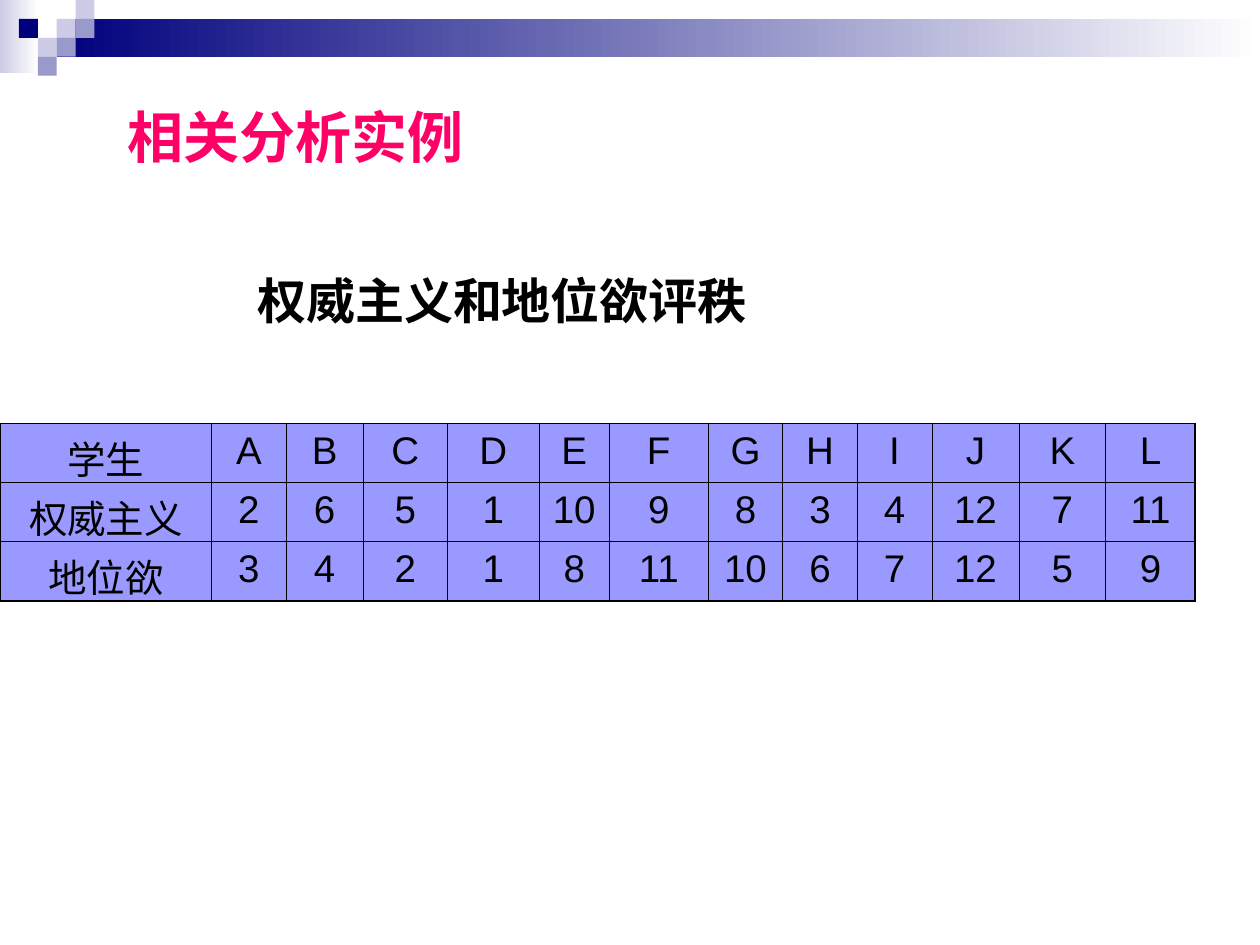
from lxml import etree
from pptx import Presentation
from pptx.dml.color import RGBColor
from pptx.enum.shapes import MSO_SHAPE as Shape
from pptx.enum.text import MSO_ANCHOR as Anchor, MSO_AUTO_SIZE as AutoSize, PP_ALIGN as Align
from pptx.oxml.ns import qn
from pptx.util import Pt

NAVY = RGBColor(0x00, 0x00, 0x7D)
LAVENDER = RGBColor(0xCC, 0xCC, 0xE6)
MAUVE = RGBColor(0x99, 0x99, 0xCC)
CELL_BLUE = RGBColor(0x99, 0x99, 0xFF)
PINK = RGBColor(0xFF, 0x00, 0x66)
BLACK = RGBColor(0x00, 0x00, 0x00)
WHITE = RGBColor(0xFF, 0xFF, 0xFF)

SQUARE = 10.8
SQUARES = [  # column, row, colour on the corner grid
    (3, 1, LAVENDER), (4, 0, LAVENDER), (4, 1, MAUVE), (2, 2, LAVENDER),
    (1, 1, NAVY), (3, 2, MAUVE), (2, 3, MAUVE),
]
RANKS = [
    ["学生", *"ABCDEFGHIJKL"],
    ["权威主义", 2, 6, 5, 1, 10, 9, 8, 3, 4, 12, 7, 11],
    ["地位欲", 3, 4, 2, 1, 8, 11, 10, 6, 7, 12, 5, 9],
]
COL_WIDTHS = [121, 42.5, 44, 48.2, 52.5, 40, 56.5, 42.7, 42.5, 42.7, 49.7, 49.7, 51]
ROW_HEIGHT = 33.8


class SlideBuilder:
    heading_font = "Times New Roman"
    table_font = "Arial"
    table_size = 22
    thin, thick = 0.45, 1.08

    def __init__(self, slide):
        self.slide = slide

    def rect(self, x, y, w, h, color, fade=False):
        sp = self.slide.shapes.add_shape(Shape.RECTANGLE, Pt(x), Pt(y), Pt(w), Pt(h))
        sp.shadow.inherit = False
        sp.line.fill.background()
        if fade:
            sp.fill.gradient()
            sp.fill.gradient_angle = 0
            for stop, rgb in zip(sp.fill.gradient_stops, (color, WHITE)):
                stop.color.rgb = rgb
        else:
            sp.fill.solid()
            sp.fill.fore_color.rgb = color

    def write_heading(self, sp, text, size, color):
        tf = sp.text_frame
        tf.text = text
        tf.word_wrap = False
        tf.auto_size = AutoSize.SHAPE_TO_FIT_TEXT
        tf.vertical_anchor = Anchor.TOP
        p = tf.paragraphs[0]
        p.alignment = Align.LEFT
        self.set_font(p.font, self.heading_font, size, color, True)

    def title(self, x, y, w, h, text, size, color):
        sp = self.slide.shapes.title
        sp.left, sp.top, sp.width, sp.height = Pt(x), Pt(y), Pt(w), Pt(h)
        self.write_heading(sp, text, size, color)

    def text(self, x, y, w, h, text, size, color):
        sp = self.slide.shapes.add_textbox(Pt(x), Pt(y), Pt(w), Pt(h))
        self.write_heading(sp, text, size, color)

    def table(self, x, y, rows, widths, row_height):
        n_rows, n_cols = len(rows), len(widths)
        table = self.slide.shapes.add_table(
            n_rows, n_cols, Pt(x), Pt(y), Pt(sum(widths)), Pt(row_height * n_rows)).table
        table.horz_banding = table.first_row = False
        for column, width in zip(table.columns, widths):
            column.width = Pt(width)
        for i, values in enumerate(rows):
            table.rows[i].height = Pt(row_height)
            for j, value in enumerate(values):
                cell = table.cell(i, j)
                outer = {"L": j == 0, "R": j == n_cols - 1, "T": i == 0, "B": i == n_rows - 1}
                self.borders(cell, outer)
                cell.fill.solid()
                cell.fill.fore_color.rgb = CELL_BLUE
                cell.text = str(value)
                p = cell.text_frame.paragraphs[0]
                p.alignment = Align.CENTER
                p.space_before = Pt(5.5)
                self.set_font(p.font, self.table_font, self.table_size, BLACK)

    def borders(self, cell, outer):
        props = cell._tc.get_or_add_tcPr()
        for side, is_outer in outer.items():
            width = Pt(self.thick if is_outer else self.thin)
            ln = etree.SubElement(props, qn(f"a:ln{side}"), w=str(width))
            fill = etree.SubElement(ln, qn("a:solidFill"))
            etree.SubElement(fill, qn("a:srgbClr"), val=str(BLACK))

    def set_font(self, font, name, size, color, bold=False):
        font.name, font.size, font.bold = name, Pt(size), bold
        font.color.rgb = color


def main():
    prs = Presentation()
    prs.slide_width, prs.slide_height = Pt(720), Pt(540)
    title_only = prs.slide_layouts[5]
    s = SlideBuilder(prs.slides.add_slide(title_only))

    # Banner and corner squares
    s.rect(0, 0, 22, 41.8, LAVENDER, fade=True)
    s.rect(3 * SQUARE, SQUARE, 720 - 3 * SQUARE, 2 * SQUARE, NAVY, fade=True)
    for col, row, color in SQUARES:
        s.rect(col * SQUARE, row * SQUARE, SQUARE, SQUARE, color)

    # Table of ranks
    s.table(0, 242, RANKS, COL_WIDTHS, ROW_HEIGHT)

    # Headings
    s.text(140, 151, 294, 41, "权威主义和地位欲评秩", 28, BLACK)
    s.title(65.5, 54.7, 207, 46, "相关分析实例", 32, PINK)

    prs.save("out.pptx")


if __name__ == "__main__":
    main()
